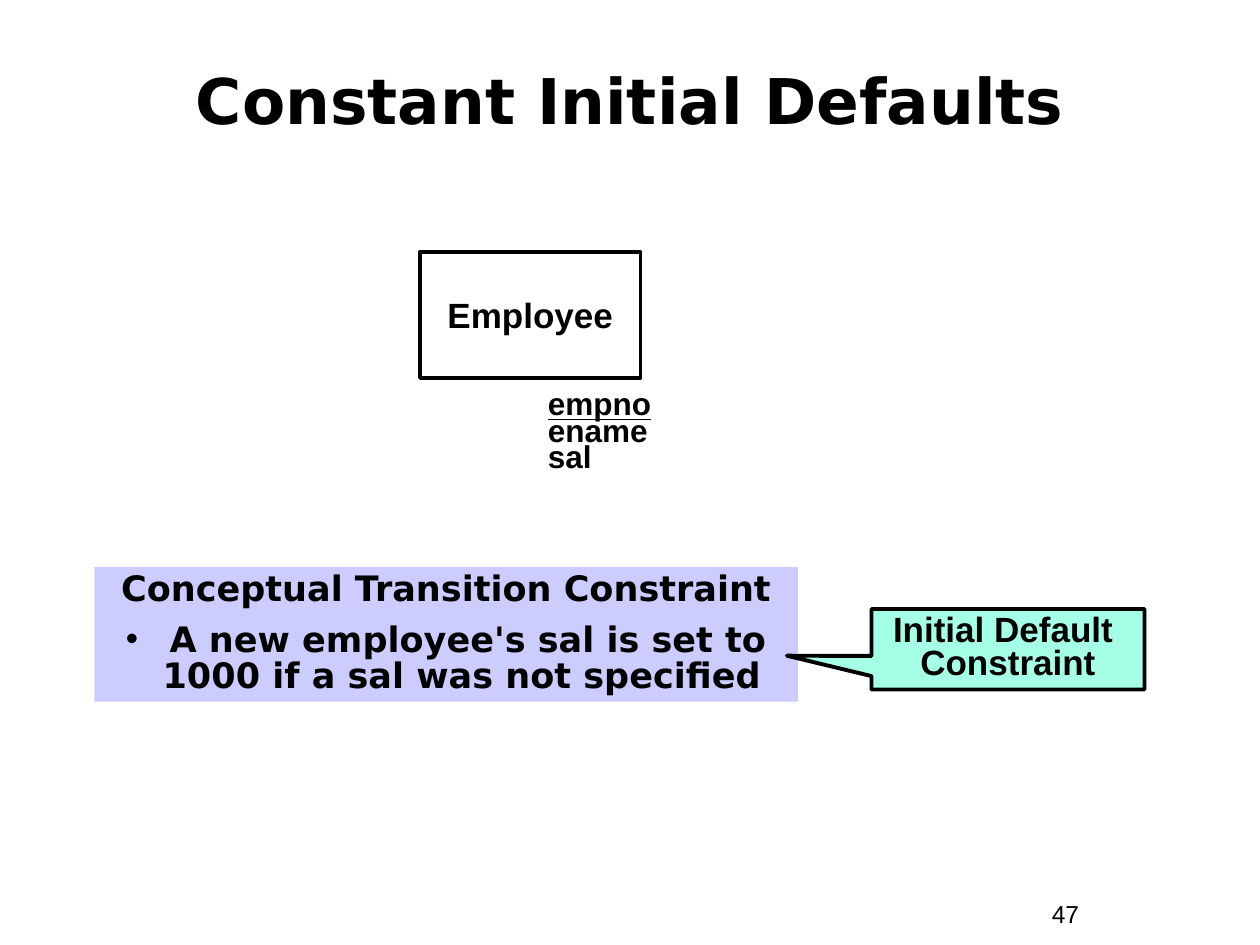
"""Build the slide on constant initial defaults."""
from dataclasses import dataclass

from lxml.etree import SubElement
from pptx import Presentation
from pptx.dml.color import RGBColor
from pptx.enum.shapes import MSO_SHAPE
from pptx.enum.text import MSO_ANCHOR, MSO_AUTO_SIZE, PP_ALIGN
from pptx.oxml.ns import qn
from pptx.slide import Slide
from pptx.util import Pt

BLACK = RGBColor(0x00, 0x00, 0x00)
LAVENDER = RGBColor(0xCC, 0xCC, 0xFF)
MINT = RGBColor(0xA5, 0xFF, 0xE7)


@dataclass
class SlideBuilder:
    slide: Slide
    label_font: str = "Arial"
    heading_font: str = "DejaVu Sans"
    line_width: float = 2.25

    def fill_text(self, shape, lines, size, font, bold=True, align=PP_ALIGN.LEFT,
                  spacing=None, anchor=MSO_ANCHOR.TOP, wrap=True):
        frame = shape.text_frame
        frame.auto_size = MSO_AUTO_SIZE.NONE
        frame.word_wrap = wrap
        frame.vertical_anchor = anchor
        for index, line in enumerate(lines):
            para = frame.add_paragraph() if index else frame.paragraphs[0]
            para.text = line
            para.alignment = align
            if spacing:
                para.line_spacing = spacing
            for span in para.runs:
                span.font.size = Pt(size)
                span.font.name = font
                span.font.bold = bold
                span.font.color.rgb = BLACK
        return frame.paragraphs

    def title(self, text, left, top, width, height):
        title = self.slide.shapes.title
        title.left, title.top = Pt(left), Pt(top)
        title.width, title.height = Pt(width), Pt(height)
        self.fill_text(title, [text], 36, self.heading_font,
                       align=PP_ALIGN.CENTER, anchor=MSO_ANCHOR.MIDDLE)

    def text(self, lines, left, top, width, height, size, **style):
        box = self.slide.shapes.add_textbox(Pt(left), Pt(top), Pt(width), Pt(height))
        return self.fill_text(box, lines, size, self.label_font, **style)

    def shape(self, kind, left, top, width, height, fill=None, outlined=True):
        shape = self.slide.shapes.add_shape(kind, Pt(left), Pt(top), Pt(width), Pt(height))
        shape.shadow.inherit = False
        if fill is None:
            shape.fill.background()
        else:
            shape.fill.solid()
            shape.fill.fore_color.rgb = fill
        if outlined:
            shape.line.color.rgb = BLACK
            shape.line.width = Pt(self.line_width)
        else:
            shape.line.fill.background()
        return shape

    def entity(self, name, left, top, width, height):
        box = self.shape(MSO_SHAPE.RECTANGLE, left, top, width, height)
        self.fill_text(box, [name], 20, self.label_font, align=PP_ALIGN.CENTER,
                       anchor=MSO_ANCHOR.MIDDLE, wrap=False)

    def constraint(self, heading, rule, left, top, width, height):
        panel = self.shape(MSO_SHAPE.RECTANGLE, left, top, width, height, LAVENDER, False)
        bullet_para = self.fill_text(panel, [heading, rule], 20, self.heading_font,
                                     align=PP_ALIGN.CENTER, spacing=0.85)[1]
        bullet_para.space_before = Pt(8.8)
        properties = bullet_para._p.get_or_add_pPr()
        properties.set("marL", str(Pt(18)))
        properties.set("indent", str(-Pt(18)))
        SubElement(properties, qn("a:buFont"), typeface=self.label_font)
        SubElement(properties, qn("a:buChar"), char="•")

    def callout(self, text, left, top, width, height, tip):
        callout = self.shape(MSO_SHAPE.RECTANGULAR_CALLOUT, left, top, width, height, MINT)
        for index, value in enumerate(tip):
            callout.adjustments[index] = value
        self.fill_text(callout, [text], 20, self.label_font,
                       align=PP_ALIGN.CENTER, spacing=0.8)


def main():
    deck = Presentation()
    deck.slide_width, deck.slide_height = Pt(720), Pt(540)
    page = SlideBuilder(deck.slides.add_slide(deck.slide_layouts[5]))
    page.title("Constant Initial Defaults", 24, 24, 672, 66)
    page.entity("Employee", 240, 144, 126, 72)
    attributes = page.text(["empno", "ename", "sal"], 306, 222, 84, 52.5, 18, spacing=0.7)
    attributes[0].runs[0].font.underline = True
    page.constraint("Conceptual Transition Constraint",
                    " A new employee's sal is set to 1000 if a sal was not specified",
                    54, 324, 402, 77)
    page.callout("Initial Default \vConstraint", 498, 348, 156, 46, (-0.81, 0.08))
    page.text(["47"], 594, 510, 66, 24.5, 14, bold=False)
    deck.save("out.pptx")


if __name__ == "__main__":
    main()
